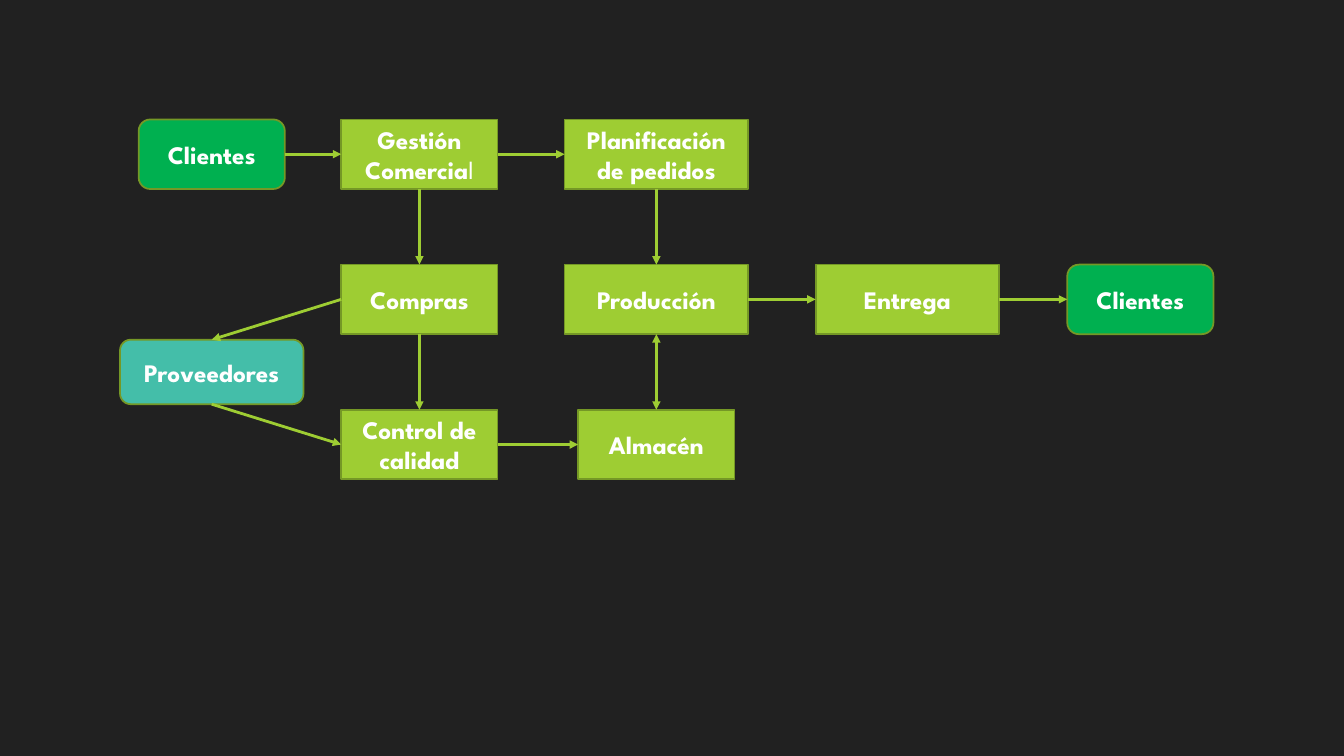
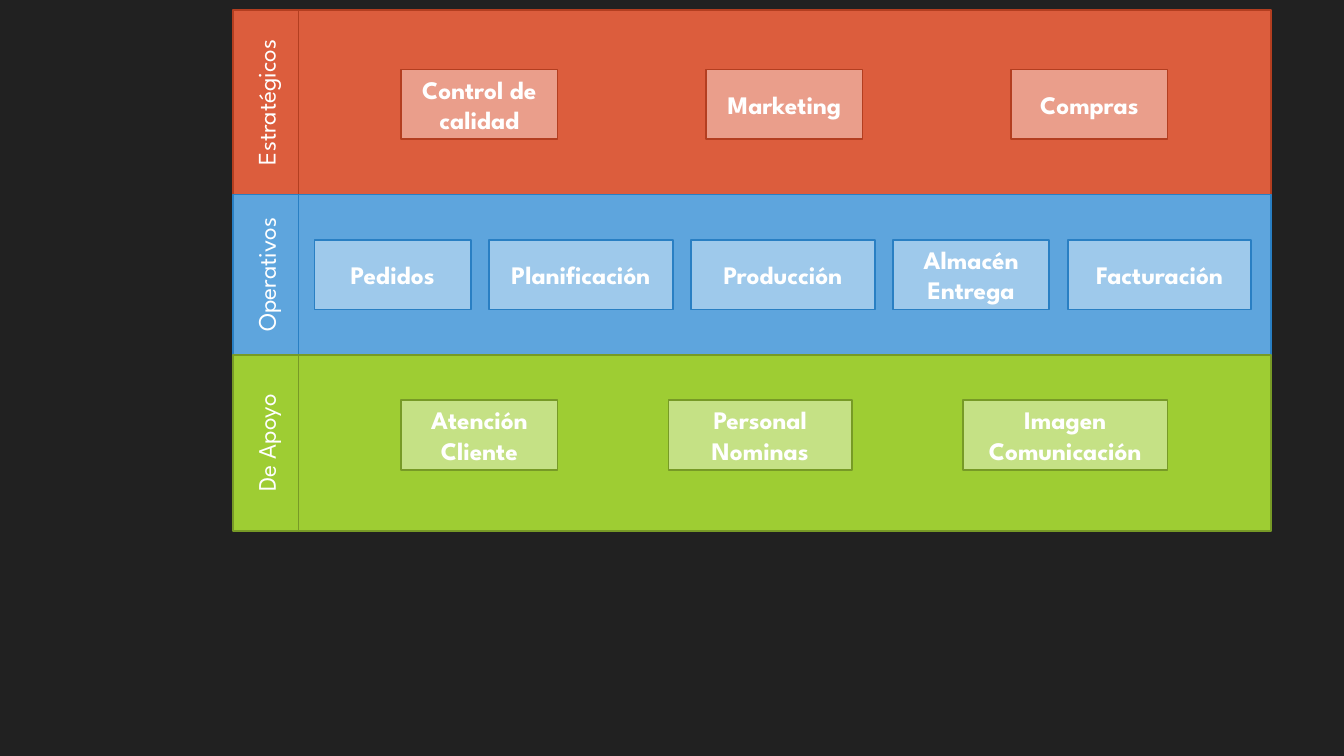
"""Build a process flow slide and a process map slide."""
from dataclasses import dataclass

from lxml import etree
from pptx import Presentation
from pptx.dml.color import RGBColor
from pptx.enum.shapes import MSO_CONNECTOR, MSO_SHAPE
from pptx.enum.text import MSO_ANCHOR, PP_ALIGN
from pptx.oxml.ns import qn
from pptx.util import Inches, Pt

RECTANGLE = MSO_SHAPE.RECTANGLE
ROUNDED = MSO_SHAPE.ROUNDED_RECTANGLE
STRAIGHT = MSO_CONNECTOR.STRAIGHT
MIDDLE = MSO_ANCHOR.MIDDLE
CENTER = PP_ALIGN.CENTER
TOP, LEFT, BOTTOM, RIGHT = range(4)


@dataclass(frozen=True)
class Theme:
    font: str = "League Spartan"
    text_size: float = 18
    border_width: float = 1.25
    arrow_width: float = 2
    background: str = "212121"
    text: str = "FFFFFF"
    green: str = "9ECD33"
    flow_border: str = "759826"
    client: str = "00B050"
    supplier: str = "44BEA9"
    green_border: str = "779A26"
    green_light: str = "C5E185"
    red: str = "DC5D3D"
    red_border: str = "B33E20"
    red_light: str = "EA9E8B"
    blue: str = "5EA5DD"
    blue_border: str = "297FC3"
    blue_light: str = "9EC9EB"


THEME = Theme()
SLIDE_SIZE = (13.33, 7.5)
BOX_HEIGHT = 0.69
NARROW, WIDE, WIDEST, CLIENT_WIDTH = 1.55, 1.82, 2.03, 1.45

COLUMN_CENTERS = (2.1, 4.16, 6.51, 9.0, 11.31)
FIRST_ROW_CENTER, ROW_PITCH = 1.53, 1.44
PROCESS = (RECTANGLE, THEME.green)
CLIENT = (ROUNDED, THEME.client)
SUPPLIER = (ROUNDED, THEME.supplier)

FLOW_STEPS = {
    "sales": (("Gestión Comercia", "l"), 1, 0, NARROW, BOX_HEIGHT, PROCESS),
    "planning": (("Planificación de pedidos",), 2, 0, WIDE, BOX_HEIGHT, PROCESS),
    "purchasing": (("Compras",), 1, 1, NARROW, BOX_HEIGHT, PROCESS),
    "warehouse": (("Almacén",), 2, 2, NARROW, BOX_HEIGHT, PROCESS),
    "quality": (("Control de calidad",), 1, 2, NARROW, BOX_HEIGHT, PROCESS),
    "production": (("Producción",), 2, 1, WIDE, BOX_HEIGHT, PROCESS),
    "client_in": (("Clientes",), 0, 0, CLIENT_WIDTH, BOX_HEIGHT, CLIENT),
    "suppliers": (("Proveedores",), 0, 1.5, WIDE, 0.64, SUPPLIER),
    "client_out": (("Clientes",), 4, 1, CLIENT_WIDTH, BOX_HEIGHT, CLIENT),
    "delivery": (("Entrega",), 3, 1, WIDE, BOX_HEIGHT, PROCESS),
}
ONE_WAY, TWO_WAY = ("tailEnd",), ("headEnd", "tailEnd")
FLOW_ARROWS = [
    ("client_in", RIGHT, "sales", LEFT, ONE_WAY),
    ("sales", RIGHT, "planning", LEFT, ONE_WAY),
    ("sales", BOTTOM, "purchasing", TOP, ONE_WAY),
    ("purchasing", BOTTOM, "quality", TOP, ONE_WAY),
    ("quality", RIGHT, "warehouse", LEFT, ONE_WAY),
    ("warehouse", TOP, "production", BOTTOM, TWO_WAY),
    ("planning", BOTTOM, "production", TOP, ONE_WAY),
    ("purchasing", LEFT, "suppliers", TOP, ONE_WAY),
    ("suppliers", BOTTOM, "quality", LEFT, ONE_WAY),
    ("production", RIGHT, "delivery", LEFT, ONE_WAY),
    ("delivery", RIGHT, "client_out", LEFT, ONE_WAY),
]

MAP_TOP = 0.1
BAND_LEFT, BAND_WIDTH, TAB_WIDTH = 2.96, 9.65, 0.65
MAP_BANDS = [
    {"name": "Estratégicos", "height": 1.83, "box_top": 0.69, "span": (3.98, 11.58),
     "colors": (THEME.red, THEME.red_border, THEME.red_light),
     "boxes": [("Control de calidad", NARROW), ("Marketing", NARROW), ("Compras", NARROW)]},
    {"name": "Operativos", "height": 1.59, "box_top": 2.38, "span": (3.12, 12.41),
     "colors": (THEME.blue, THEME.blue_border, THEME.blue_light),
     "boxes": [("Pedidos", NARROW), ("Planificación", WIDE), ("Producción", WIDE),
               ("Almacén Entrega", NARROW), ("Facturación", WIDE)]},
    {"name": "De Apoyo", "height": 1.75, "box_top": 3.97, "span": (3.98, 11.58),
     "colors": (THEME.green, THEME.green_border, THEME.green_light),
     "boxes": [("Atención Cliente", NARROW), ("Personal Nominas", WIDE),
               ("Imagen Comunicación", WIDEST)]},
]


def color(value):
    return RGBColor.from_string(value)


def add_slide(presentation):
    slide = presentation.slides.add_slide(presentation.slide_layouts[6])
    slide.background.fill.solid()
    slide.background.fill.fore_color.rgb = color(THEME.background)
    return slide


def add_box(slide, bounds, fill, border, texts=(), kind=RECTANGLE, bold=True):
    shape = slide.shapes.add_shape(kind, *(Inches(length) for length in bounds))
    shape.shadow.inherit = False
    shape.fill.solid()
    shape.fill.fore_color.rgb = color(fill)
    shape.line.color.rgb = color(border)
    shape.line.width = Pt(THEME.border_width)
    text_frame = shape.text_frame
    text_frame.word_wrap = True
    text_frame.vertical_anchor = MIDDLE
    paragraph = text_frame.paragraphs[0]
    paragraph.alignment = CENTER
    for index, text in enumerate(texts):
        run = paragraph.add_run()
        run.text = text
        run.font.name = THEME.font
        run.font.size = Pt(THEME.text_size)
        run.font.bold = bold and index == 0
        run.font.color.rgb = color(THEME.text)
    return shape


def add_arrow(slide, start, start_side, end, end_side, heads):
    connector = slide.shapes.add_connector(STRAIGHT, 0, 0, 0, 0)
    connector.begin_connect(start, start_side)
    connector.end_connect(end, end_side)
    connector.line.color.rgb = color(THEME.green)
    connector.line.width = Pt(THEME.arrow_width)
    properties = connector.element.spPr
    line = properties.find(qn("a:ln"))
    for head in heads:
        etree.SubElement(line, qn(f"a:{head}"), type="triangle")
    etree.SubElement(properties, qn("a:effectLst"))


def build_flow(presentation):
    slide = add_slide(presentation)
    steps = {}
    for key, (texts, column, row, width, height, (kind, fill)) in FLOW_STEPS.items():
        left = COLUMN_CENTERS[column] - width / 2
        top = FIRST_ROW_CENTER + row * ROW_PITCH - height / 2
        steps[key] = add_box(slide, (left, top, width, height), fill,
                             THEME.flow_border, texts, kind)
    for start, start_side, end, end_side, heads in FLOW_ARROWS:
        add_arrow(slide, steps[start], start_side, steps[end], end_side, heads)


def build_map(presentation):
    slide = add_slide(presentation)
    top = MAP_TOP
    for band in MAP_BANDS:
        height = band["height"]
        fill, border, box_fill = band["colors"]
        add_box(slide, (BAND_LEFT, top, BAND_WIDTH, height), fill, border)
        tab_left = BAND_LEFT - (TAB_WIDTH + height) / 2
        tab_top = top + (height - TAB_WIDTH) / 2
        tab = add_box(slide, (tab_left, tab_top, height, TAB_WIDTH), fill, border,
                      (band["name"],), bold=False)
        tab.rotation = 270
        left, right = band["span"]
        boxes = band["boxes"]
        gap = (right - left - sum(width for _, width in boxes)) / (len(boxes) - 1)
        for text, width in boxes:
            add_box(slide, (left, band["box_top"], width, BOX_HEIGHT), box_fill, border, (text,))
            left += width + gap
        top += height


presentation = Presentation()
presentation.slide_width, presentation.slide_height = (Inches(side) for side in SLIDE_SIZE)
build_flow(presentation)
build_map(presentation)
presentation.save("out.pptx")
